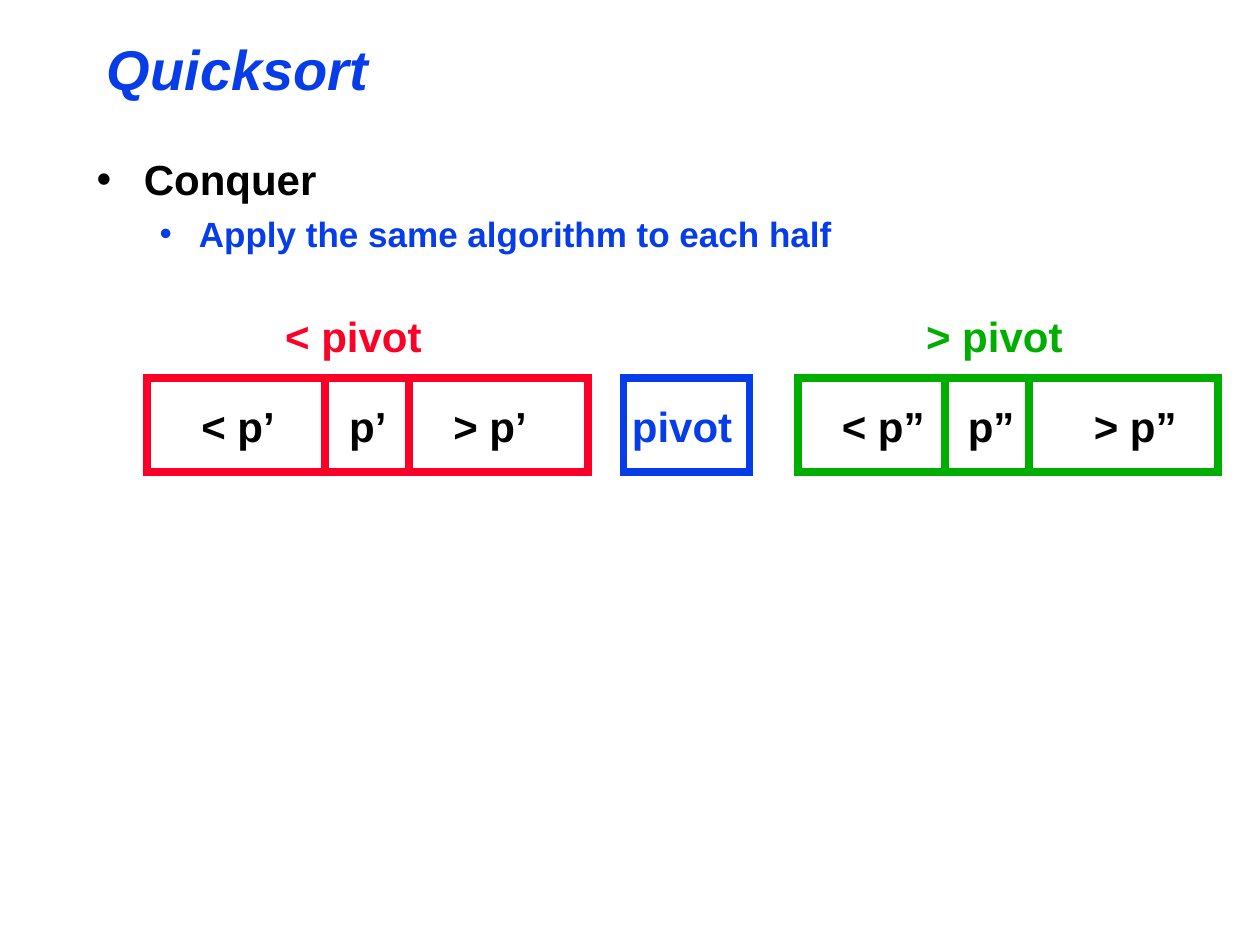
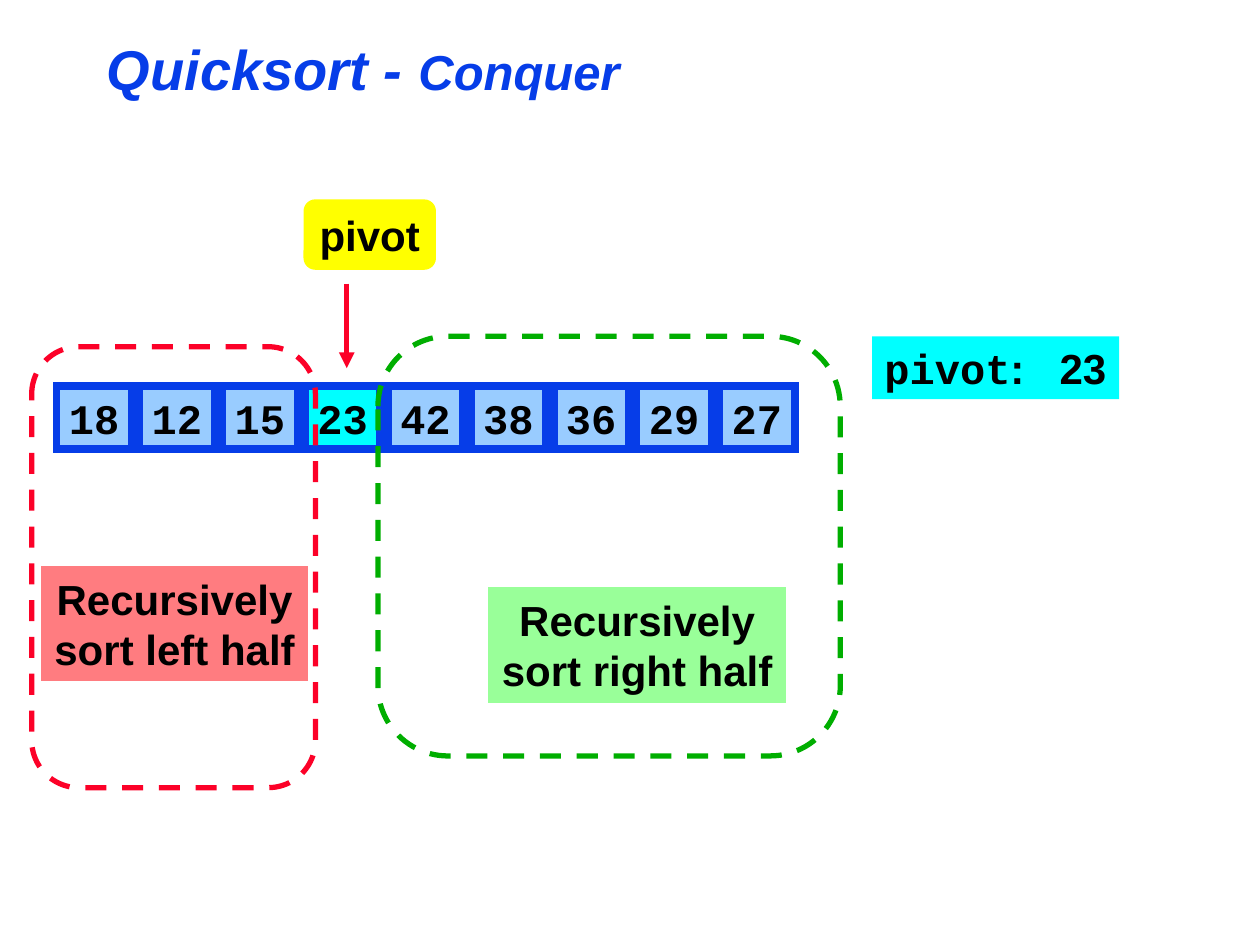
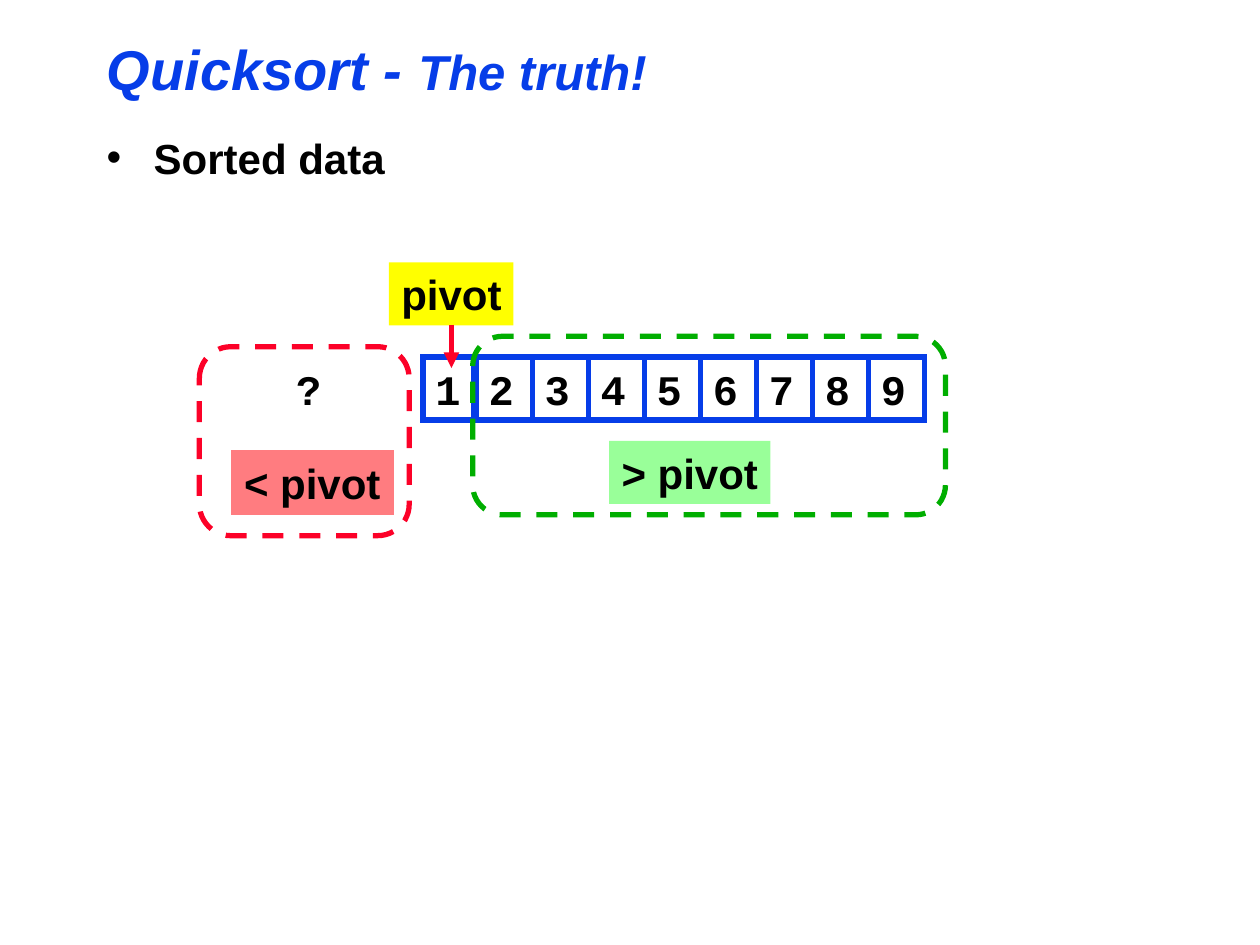
from lxml import etree
from pptx import Presentation
from pptx.dml.color import RGBColor
from pptx.enum.dml import MSO_LINE
from pptx.enum.shapes import MSO_CONNECTOR, MSO_SHAPE
from pptx.enum.text import MSO_ANCHOR, MSO_AUTO_SIZE, PP_ALIGN
from pptx.oxml.ns import qn
from pptx.util import Cm, Pt

RECT, ROUNDED = MSO_SHAPE.RECTANGLE, MSO_SHAPE.ROUNDED_RECTANGLE
STRAIGHT, DASH = MSO_CONNECTOR.STRAIGHT, MSO_LINE.DASH
LEFT, CENTER = PP_ALIGN.LEFT, PP_ALIGN.CENTER
TOP, MIDDLE = MSO_ANCHOR.TOP, MSO_ANCHOR.MIDDLE
GROW = MSO_AUTO_SIZE.SHAPE_TO_FIT_TEXT

BLACK, BLUE, RED, GREEN = "000000", "063DE8", "FC0128", "00AE00"
YELLOW, CYAN, SKY, ROSE, MINT = "FFFF00", "00FFFF", "99CCFF", "FF7C80", "99FF99"
SANS, MONO = "Arial", "Courier New"
ROW_HEIGHT = 1.27


def rgb(hex_colour):
    return RGBColor.from_string(hex_colour)


def add_xml(parent, tag, **attributes):
    return etree.SubElement(parent, qn(tag), attributes)


def write(frame, *lines, size=24, color=BLACK, font=SANS, italic=False,
          align=LEFT, anchor=TOP, wrap=False):
    """Fill a frame; a line is a string or a list of (text, overrides) runs."""
    frame.word_wrap = wrap
    frame.vertical_anchor = anchor
    for number, line in enumerate(lines):
        paragraph = frame.add_paragraph() if number else frame.paragraphs[0]
        paragraph.alignment = align
        for text, changes in [(line, {})] if isinstance(line, str) else line:
            run = paragraph.add_run()
            run.text = text
            run.font.bold = True
            run.font.italic = italic
            run.font.size = Pt(changes.get("size", size))
            run.font.name = changes.get("font", font)
            run.font.color.rgb = rgb(changes.get("color", color))


class Deck:
    # Per level: size, colour, left margin, hanging indent, space before
    LEVELS = [(24, BLACK, 0.95, 0.95, 6), (20, BLUE, 2.06, 0.79, 5)]

    def __init__(self):
        self.presentation = Presentation()
        self.presentation.slide_width = Cm(25.4)
        self.presentation.slide_height = Cm(19.05)
        self.slide = None

    def new_slide(self, topic, subtopic=""):
        self.slide = self.presentation.slides.add_slide(
            self.presentation.slide_layouts[5])
        title = self.slide.shapes.title
        title.left, title.top = Cm(1.9), Cm(0.42)
        title.width, title.height = Cm(21.59), Cm(1.9)
        runs = [(topic, {})]
        if subtopic:
            runs = [(topic + " - ", {}), (subtopic, {"size": 28})]
        write(title.text_frame, runs, size=32, color=BLUE, italic=True,
              anchor=MIDDLE, wrap=True)

    def text(self, left, top, width, *lines, height=ROW_HEIGHT, **style):
        area = self.slide.shapes.add_textbox(
            Cm(left), Cm(top), Cm(width), Cm(height))
        write(area.text_frame, *lines, **style)
        return area.text_frame

    def label(self, left, top, width, text, **style):
        """Place one line of text in an area that grows to hold it."""
        self.text(left, top, width, text, **style).auto_size = GROW

    def bullets(self, left, top, *items):
        """Place bulleted items, each one level below the item before it."""
        lines = [[(item, {"size": level[0], "color": level[1]})]
                 for item, level in zip(items, self.LEVELS)]
        frame = self.text(left, top, 21.79, *lines, height=15.24, wrap=True)
        for paragraph, level in zip(frame.paragraphs, self.LEVELS):
            _, color, margin, hanging, before = level
            paragraph.space_before = Pt(before)
            properties = paragraph._p.get_or_add_pPr()
            properties.set("marL", str(Cm(margin)))
            properties.set("indent", str(-Cm(hanging)))
            add_xml(add_xml(properties, "a:buClr"), "a:srgbClr", val=color)
            add_xml(properties, "a:buFont", typeface=SANS)
            add_xml(properties, "a:buChar", char="•")

    def box(self, left, top, width, height, *lines, kind=RECT, fill=None,
            line=None, weight=1, dash=None, **style):
        shape = self.slide.shapes.add_shape(
            kind, Cm(left), Cm(top), Cm(width), Cm(height))
        shape.shadow.inherit = False
        if fill:
            shape.fill.solid()
            shape.fill.fore_color.rgb = rgb(fill)
        else:
            shape.fill.background()
        if line:
            shape.line.color.rgb = rgb(line)
            shape.line.width = Pt(weight)
            if dash:
                shape.line.dash_style = dash
            add_xml(shape.line._ln, "a:miter", lim="800000")
        else:
            shape.line.fill.background()
        write(shape.text_frame, *lines, **style)
        return shape.text_frame

    def region(self, left, top, width, height, color):
        self.box(left, top, width, height, kind=ROUNDED, line=color,
                 weight=3, dash=DASH)

    def down_arrow(self, x, top, bottom):
        arrow = self.slide.shapes.add_connector(
            STRAIGHT, Cm(x), Cm(top), Cm(x), Cm(bottom))
        arrow.line.color.rgb = rgb(RED)
        arrow.line.width = Pt(3)
        add_xml(arrow.line._ln, "a:tailEnd", type="triangle")
        add_xml(arrow._element.spPr, "a:effectLst")


def partition_slide(deck):
    deck.new_slide("Quicksort")
    deck.bullets(1.7, 2.97, "Conquer", "Apply the same algorithm to each half")
    top, height, text_top = 7.62, 1.9, 7.94

    def outline(left, width, color):
        deck.box(left, top, width, height, line=color, weight=4.5)

    halves = [
        (RED, 2.96, 8.89, 6.56, ("< pivot", 5.5),
         [("< p’", 3.81, 2.05), ("p’", 6.79, 1.5), ("> p’", 8.89, 2.05)]),
        (GREEN, 16.08, 8.47, 19.05, ("> pivot", 18.42),
         [("< p”", 16.72, 2.25), ("p”", 19.26, 1.5), ("> p”", 21.8, 2.25)]),
    ]
    for color, left, width, inner_left, (heading, heading_left), parts in halves:
        outline(left, width, color)
        outline(inner_left, 1.69, color)
        deck.label(heading_left, 6.14, 3.32, heading, color=color)
        for part, part_left, part_width in parts:
            deck.label(part_left, text_top, part_width, part)
    outline(12.57, 2.54, BLUE)
    deck.label(12.49, text_top, 2.58, "pivot", color=BLUE)


def recursion_slide(deck):
    deck.new_slide("Quicksort", "Conquer")
    deck.box(6.12, 4.02, 2.67, 1.42, "pivot", kind=ROUNDED, fill=YELLOW,
             align=CENTER, anchor=MIDDLE)
    pivot = 23
    for index, value in enumerate([18, 12, 15, pivot, 42, 38, 36, 29, 27]):
        deck.box(1.14 + 1.67 * index, 7.78, 1.52, ROW_HEIGHT, str(value),
                 fill=CYAN if value == pivot else SKY, line=BLUE, weight=4.5,
                 font=MONO)
    pivot_note = deck.box(17.58, 6.78, 4.98, ROW_HEIGHT,
                          [("pivot", {"font": MONO}), (f":\t{pivot}", {})],
                          fill=CYAN)
    tabs = add_xml(pivot_note.paragraphs[0]._p.get_or_add_pPr(), "a:tabLst")
    add_xml(tabs, "a:tab", pos=str(Cm(3.53)), algn="l")
    deck.down_arrow(6.99, 5.72, 7.42)

    deck.region(0.64, 6.99, 5.72, 8.89, RED)
    deck.region(7.62, 6.78, 9.32, 8.46, GREEN)
    for side, left, top, width, color in [("left", 0.84, 11.43, 5.36, ROSE),
                                          ("right", 9.86, 11.86, 5.97, MINT)]:
        deck.box(left, top, width, 2.29, "Recursively", f"sort {side} half",
                 fill=color, line=color, align=CENTER)


def sorted_data_slide(deck):
    deck.new_slide("Quicksort", "The truth!")
    deck.bullets(1.9, 2.54, "Sorted data")
    row_top = 7.2
    cells = [(8.53, 1.02)] + [(9.6 + 1.13 * step, 1.13) for step in range(8)]
    for value, (left, width) in enumerate(cells, start=1):
        deck.box(left, row_top, width, ROW_HEIGHT, str(value), line=BLUE,
                 weight=3, font=MONO, wrap=value > 1)
    deck.box(7.84, 5.29, 2.51, ROW_HEIGHT, "pivot", fill=YELLOW)
    deck.down_arrow(9.1, 6.55, 7.42)

    deck.region(9.53, 6.78, 9.53, 3.6, GREEN)
    deck.box(4.67, 9.1, 3.25, ROW_HEIGHT, "< pivot", fill=ROSE, line=ROSE)
    deck.region(4.02, 6.99, 4.23, 3.81, RED)
    deck.label(5.72, row_top, 1.05, "?", font=MONO)
    deck.box(12.28, 8.89, 3.25, ROW_HEIGHT, "> pivot", fill=MINT)


def main():
    deck = Deck()
    partition_slide(deck)
    recursion_slide(deck)
    sorted_data_slide(deck)
    deck.presentation.save("out.pptx")


if __name__ == "__main__":
    main()
